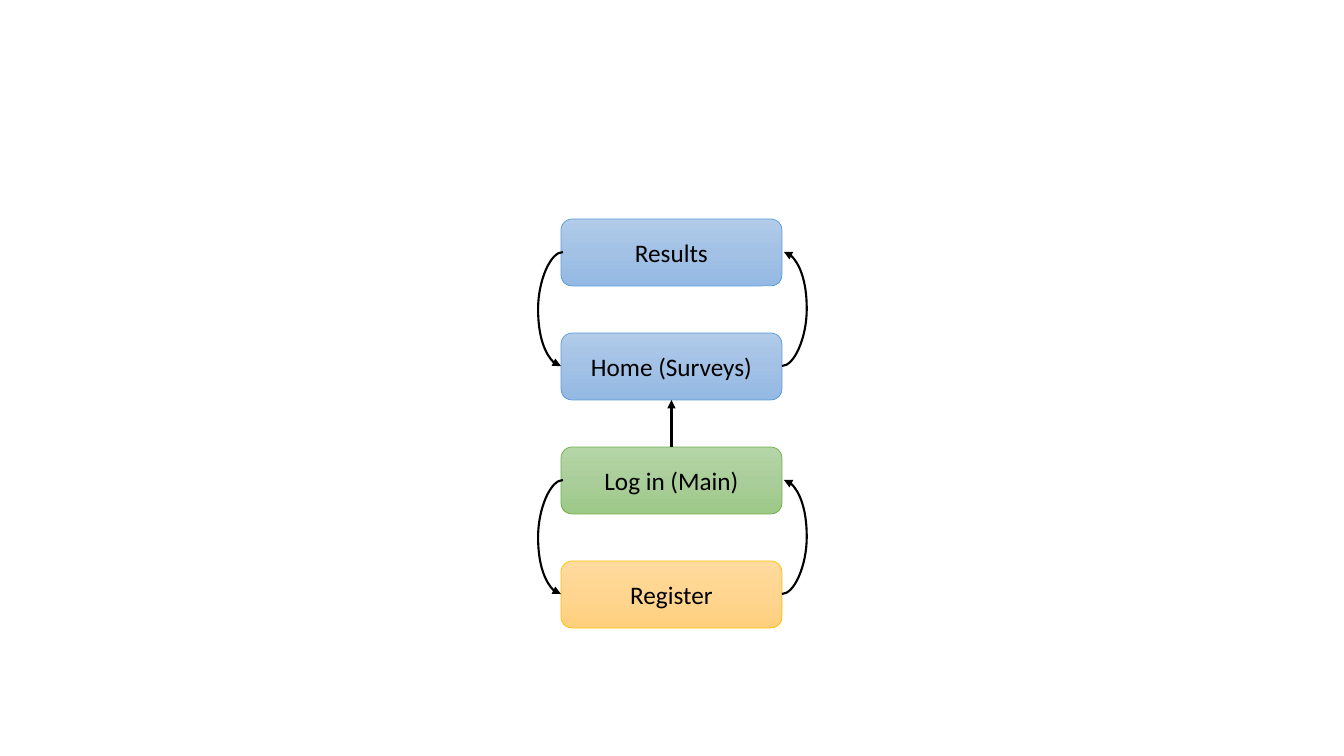
"""Build a slide showing how the screens of a survey app lead to one another."""
from copy import deepcopy
from dataclasses import dataclass

from lxml import etree
from pptx import Presentation
from pptx import util as u
from pptx.dml.color import RGBColor
from pptx.enum import shapes, text
from pptx.oxml.ns import qn

SCALE = 914400 / 100.8


def px(length):
    """Turn pixels into EMU."""
    return u.Emu(round(length * SCALE))


@dataclass(frozen=True)
class Theme:
    """Colours, type and line sizes of the slide."""
    font: str = "Calibri"
    size: int = 18
    ink: str = "000000"
    # Each palette: outline, then gradient from top to bottom
    blue: tuple = ("5B9BD5", "B1CBE9", "A3C1E5", "93B9E4")
    green: tuple = ("70AD47", "B5D5A7", "AACE9A", "9CC987")
    yellow: tuple = ("FFC000", "FFDB9E", "FFD590", "FFD07C")
    outline: float = 0.5
    arrow: float = 1.5


class Painter:
    """Draws elements on the current slide in one style."""

    def __init__(self, page, theme):
        """Keep the slide and its theme."""
        self.page = page
        self.theme = theme

    def stroke(self, item, color, width):
        """Set the line of a shape or connector."""
        item.line.color.rgb = RGBColor.from_string(color)
        item.line.width = u.Pt(width)

    def gradient(self, box, colors):
        """Fill a box from top to bottom with evenly spaced colours."""
        box.fill.gradient()
        box.fill.gradient_angle = 270
        stop_list = box._element.spPr.find(qn("a:gradFill")).find(qn("a:gsLst"))
        while len(stop_list) < len(colors):
            stop_list.append(deepcopy(stop_list[-1]))
        for index, (stop, color) in enumerate(zip(box.fill.gradient_stops, colors)):
            stop.position = index / (len(colors) - 1)
            stop.color.rgb = RGBColor.from_string(color)

    def screen(self, label, palette, left, top, width, height):
        """Add a rounded box with a centred label."""
        box = self.page.shapes.add_shape(
            shapes.MSO_SHAPE.FLOWCHART_ALTERNATE_PROCESS,
            px(left), px(top), px(width), px(height))
        box.shadow.inherit = False
        outline, *colors = palette
        self.gradient(box, colors)
        self.stroke(box, outline, self.theme.outline)
        frame = box.text_frame
        frame.text = label
        frame.vertical_anchor = text.MSO_ANCHOR.MIDDLE
        para = frame.paragraphs[0]
        para.alignment = text.PP_ALIGN.CENTER
        font = para.runs[0].font
        font.name = self.theme.font
        font.size = u.Pt(self.theme.size)
        font.color.rgb = RGBColor.from_string(self.theme.ink)
        return box

    def arrow(self, kind, start, end):
        """Add a connector with an arrowhead at its end."""
        link = self.page.shapes.add_connector(
            kind, *(px(value) for value in (*start, *end)))
        self.stroke(link, self.theme.ink, self.theme.arrow)
        etree.SubElement(link.line._get_or_add_ln(), qn("a:tailEnd"), type="triangle")
        etree.SubElement(link._element.spPr, qn("a:effectLst"))
        return link

    def curve(self, start, end, bulge):
        """Add a curved arrow that swings out sideways by the bulge."""
        link = self.arrow(shapes.MSO_CONNECTOR.CURVE, start, end)
        ratio = round(bulge / abs(end[0] - start[0]) * 100000)
        guides = link._element.spPr.find(qn("a:prstGeom")).find(qn("a:avLst"))
        etree.SubElement(guides, qn("a:gd"), name="adj1", fmla=f"val {ratio}")


LEFT, TOP, WIDTH, HEIGHT, PITCH = 561, 219, 221, 67, 114
RIGHT, CENTER = LEFT + WIDTH, LEFT + WIDTH // 2
BULGE, TIP = 25, 2
TOP_SITE, BOTTOM_SITE = 0, 2


def main():
    """Build and save the slide."""
    deck = Presentation()
    deck.slide_width, deck.slide_height = px(1344), px(756)
    theme = Theme()
    painter = Painter(deck.slides.add_slide(deck.slide_layouts[6]), theme)

    screens = [("Results", theme.blue), ("Home (Surveys)", theme.blue),
               ("Log in (Main)", theme.green), ("Register", theme.yellow)]
    tops = [TOP + row * PITCH for row in range(len(screens))]
    results, home, login, register = [
        painter.screen(label, palette, LEFT, top, WIDTH, HEIGHT)
        for (label, palette), top in zip(screens, tops)]

    # Screens in each pair lead to one another
    for upper in (tops[0], tops[2]):
        high = upper + HEIGHT // 2
        low = high + PITCH
        painter.curve((LEFT + TIP, high), (LEFT, low), BULGE)
        painter.curve((RIGHT, low), (RIGHT + TIP, high), BULGE)

    step = painter.arrow(shapes.MSO_CONNECTOR.STRAIGHT,
                         (CENTER, tops[2]), (CENTER, tops[1] + HEIGHT))
    step.begin_connect(login, TOP_SITE)
    step.end_connect(home, BOTTOM_SITE)

    deck.save("out.pptx")


main()
